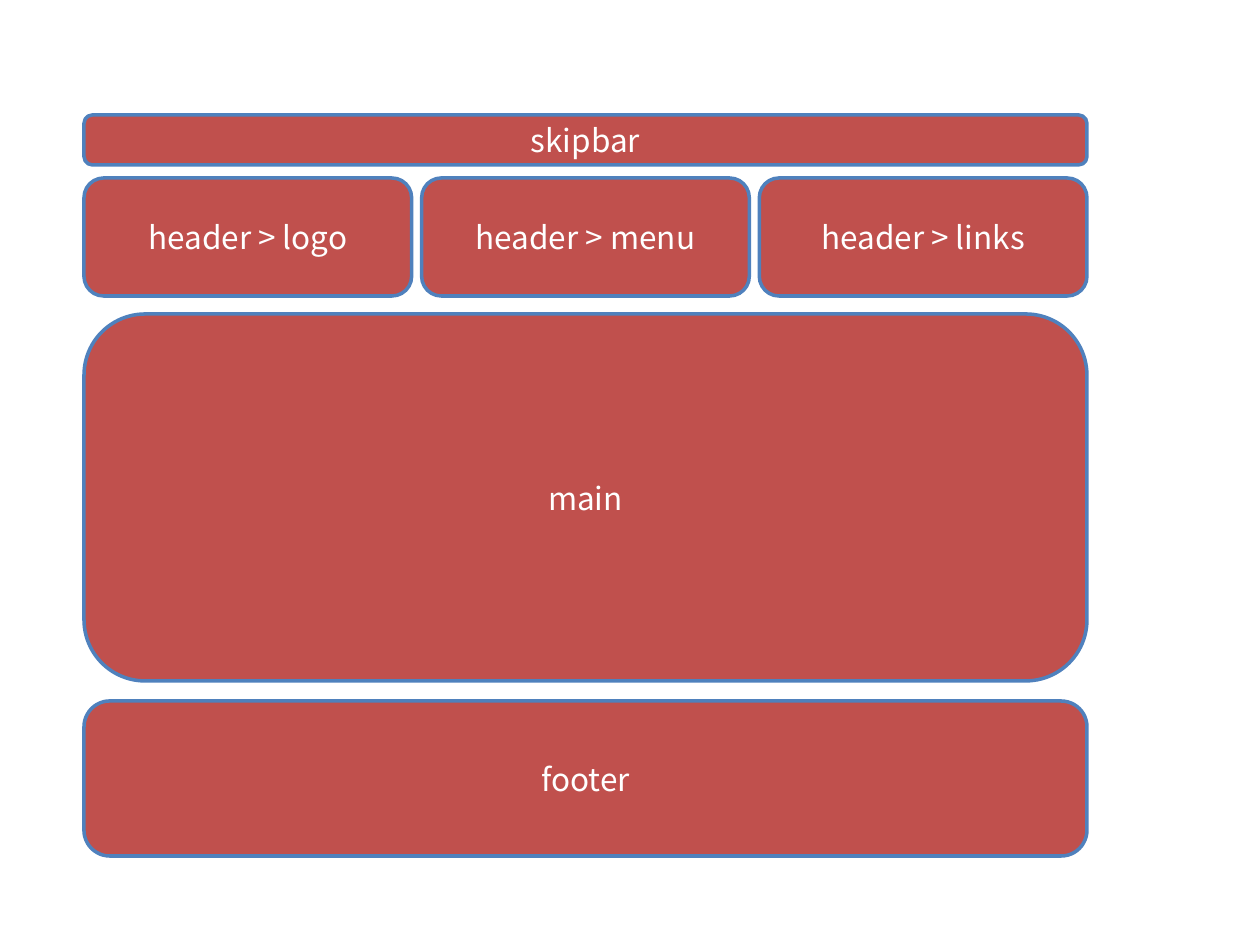
"""Build a slide that shows the layout blocks of a web page."""
from pptx import Presentation
from pptx.dml.color import RGBColor
from pptx.enum.shapes import MSO_SHAPE
from pptx.enum.text import MSO_ANCHOR, PP_ALIGN
from pptx.util import Emu, Pt

ROWS = [
    (115, 50, ["skipbar"]),
    (178, 118, ["header > logo", "header > menu", "header > links"]),
    (314, 367, ["main"]),
    (701, 155, ["footer"]),
]
LEFT, WIDTH, GAP = 84, 1003, 10
FONT = "Noto Sans CJK KR"
RED, BLUE, WHITE = "C0504D", "4F81BD", "FFFFFF"


def px(n):
    return Emu(round(n * 914400 / 126))


def tint(code):
    return RGBColor.from_string(code)


def block(slide, label, left, top, width, height):
    box = slide.shapes.add_shape(
        MSO_SHAPE.ROUNDED_RECTANGLE, px(left), px(top), px(width), px(height))
    box.shadow.inherit = False
    box.fill.solid()
    box.fill.fore_color.rgb = tint(RED)
    box.line.color.rgb = tint(BLUE)
    box.line.width = Pt(2)
    frame = box.text_frame
    frame.text = label
    frame.word_wrap = True
    frame.vertical_anchor = MSO_ANCHOR.MIDDLE
    line = frame.paragraphs[0]
    line.alignment = PP_ALIGN.CENTER
    font = line.runs[0].font
    font.name = FONT
    font.size = Pt(18)
    font.color.rgb = tint(WHITE)


def main():
    deck = Presentation()
    deck.slide_width, deck.slide_height = px(1260), px(945)
    slide = deck.slides.add_slide(deck.slide_layouts[6])
    for top, height, labels in ROWS:
        count = len(labels)
        width = (WIDTH - GAP * (count - 1)) / count
        for i, label in enumerate(labels):
            block(slide, label, LEFT + i * (width + GAP), top, width, height)
    deck.save("out.pptx")


if __name__ == "__main__":
    main()
